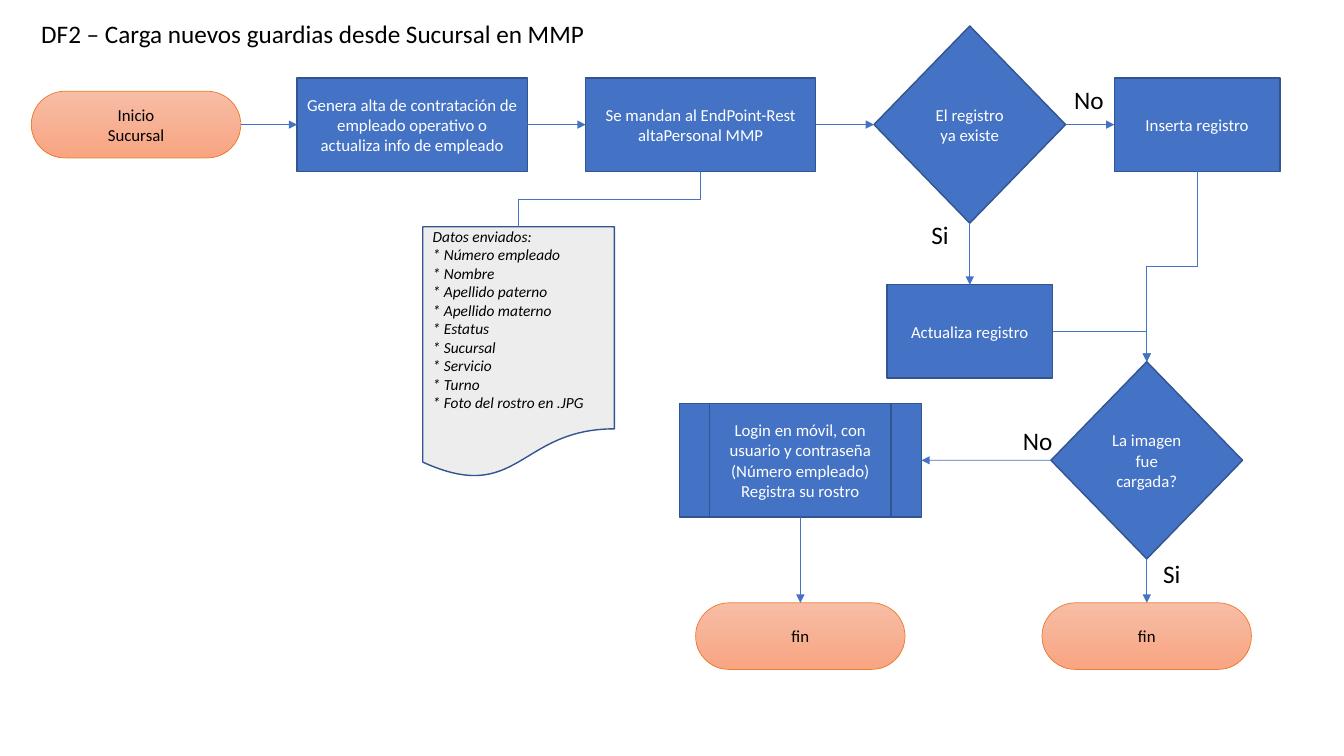
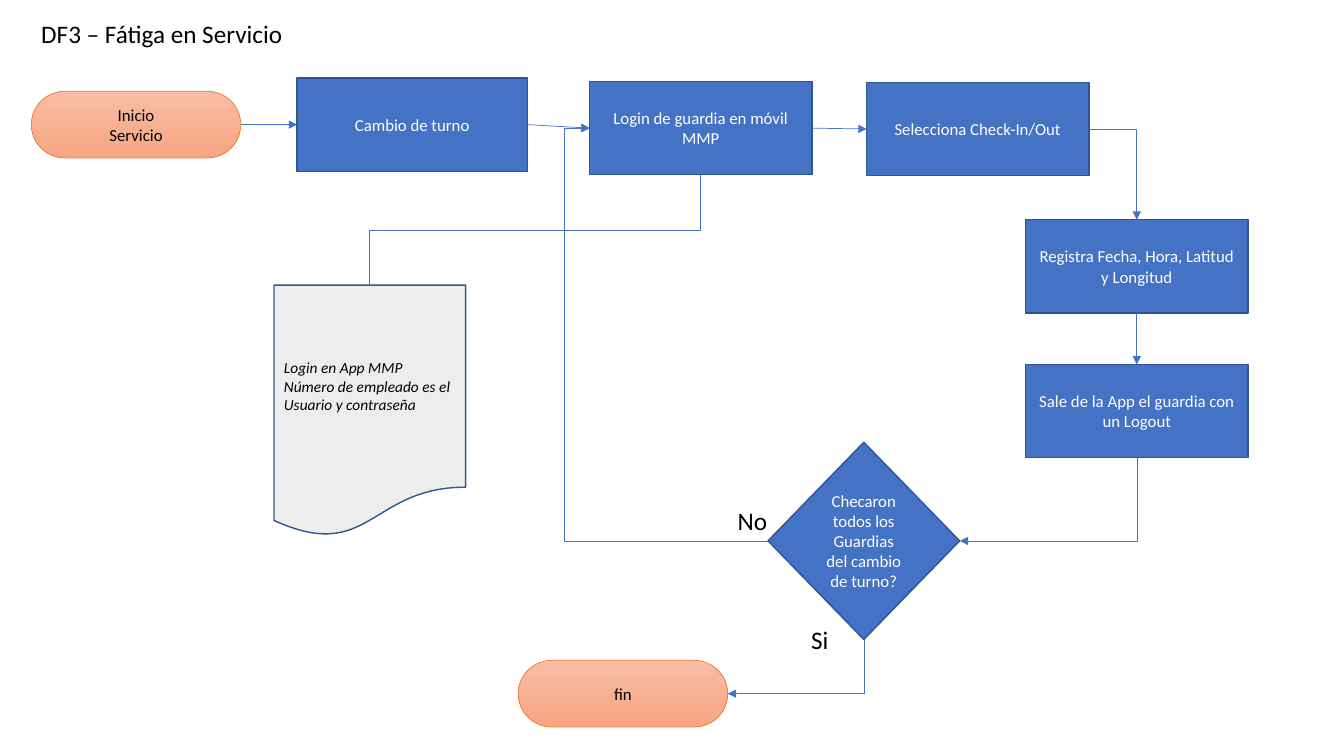
"""Build two flow charts: new guard upload and shift attendance."""
from lxml import etree
from pptx import Presentation
from pptx.dml.color import RGBColor
from pptx.enum.shapes import MSO_CONNECTOR, MSO_SHAPE
from pptx.enum.text import MSO_ANCHOR, PP_ALIGN
from pptx.oxml.ns import qn
from pptx.util import Cm, Pt

BENT, LINE = MSO_CONNECTOR.ELBOW, MSO_CONNECTOR.STRAIGHT
LEFT, MID = PP_ALIGN.LEFT, PP_ALIGN.CENTER
TOP, CENTER = MSO_ANCHOR.TOP, MSO_ANCHOR.MIDDLE
UP, WEST, DOWN, EAST = range(4)
FONT = "Calibri"
COLORS = {
    "blue": "4472C4", "edge": "325491", "gray": "EDEDED", "peach": "F7BDA5",
    "coral": "F8A582", "orange": "ED7D31", "white": "FFFFFF", "black": "000000",
}
RGB = {name: RGBColor.from_string(code) for name, code in COLORS.items()}
ROW = 3.14

KINDS = {
    "end": (MSO_SHAPE.FLOWCHART_TERMINATOR, 5.28, 1.68),
    "wide": (MSO_SHAPE.FLOWCHART_PROCESS, 5.8, 2.35),
    "step": (MSO_SHAPE.FLOWCHART_PROCESS, 5.6, 2.35),
    "small": (MSO_SHAPE.FLOWCHART_PROCESS, 4.17, 2.35),
    "test": (MSO_SHAPE.FLOWCHART_DECISION, 4.83, 4.97),
    "sub": (MSO_SHAPE.FLOWCHART_PREDEFINED_PROCESS, 6.1, 2.85),
    "note": (MSO_SHAPE.FLOWCHART_DOCUMENT, 4.83, 6.35),
}

DATA = """Datos enviados:
* Número empleado
* Nombre
* Apellido paterno
* Apellido materno
* Estatus
* Sucursal
* Servicio
* Turno
* Foto del rostro en .JPG"""

CHARTS = [
    {
        "title": "DF2 – Carga nuevos guardias desde Sucursal en MMP",
        "nodes": {
            "start": ("end", 3.43, ROW, "Inicio\nSucursal"),
            "hire": ("wide", 10.39, ROW, "Genera alta de contratación de empleado operativo o actualiza info de empleado"),
            "send": ("wide", 17.66, ROW, "Se mandan al EndPoint-Rest altaPersonal MMP"),
            "found": ("test", 24.44, ROW, "El registro ya existe"),
            "insert": ("small", 30.17, ROW, "Inserta registro"),
            "update": ("small", 24.44, 8.35, "Actualiza registro"),
            "image": ("test", 28.9, 11.6, "La imagen fue cargada?"),
            "login": ("sub", 20.17, 11.6, "Login en móvil, con usuario y contraseña (Número empleado)\nRegistra su rostro"),
            "done": ("end", 20.17, 16.03, "fin"),
            "stop": ("end", 28.9, 16.03, "fin"),
            "note": ("note", 13.07, 8.89, DATA),
        },
        "links": [
            ("start", EAST, "hire", WEST, 0),
            ("hire", EAST, "send", WEST, 0),
            ("send", EAST, "found", WEST, 0),
            ("found", EAST, "insert", WEST, 0),
            ("found", DOWN, "update", UP, 0),
            ("update", EAST, "image", UP, 50),
            ("insert", DOWN, "image", UP, 50),
            ("image", WEST, "login", EAST, 0),
            ("image", DOWN, "stop", UP, 0),
            ("login", DOWN, "done", UP, 0),
            ("send", DOWN, "note", UP, 50),
        ],
        "labels": [("No", 26.82, 2.01), ("Si", 23.22, 5.41), ("No", 25.53, 10.59), ("Si", 29.06, 13.94)],
    },
    {
        "title": "DF3 – Fátiga en Servicio",
        "nodes": {
            "start": ("end", 3.43, ROW, "Inicio\nServicio"),
            "shift": ("wide", 10.39, ROW, "Cambio de turno"),
            "login": ("step", 17.66, 3.23, "Login de guardia en móvil MMP"),
            "check": ("step", 24.64, 3.25, "Selecciona Check-In/Out"),
            "log": ("step", 28.65, 6.71, "Registra Fecha, Hora, Latitud y Longitud"),
            "leave": ("step", 28.65, 10.36, "Sale de la App el guardia con un Logout"),
            "all": ("test", 21.77, 13.63, "Checaron todos los Guardias del cambio de turno?"),
            "stop": ("end", 15.7, 17.48, "fin"),
            "note": ("note", 9.32, 10.36, "Login en App MMP\nNúmero de empleado es el Usuario y contraseña"),
        },
        "links": [
            ("start", EAST, "shift", WEST, 0),
            ("shift", EAST, "login", WEST, 0),
            ("login", EAST, "check", WEST, 0),
            ("check", EAST, "log", UP, 50),
            ("log", DOWN, "leave", UP, 0),
            ("leave", DOWN, "all", EAST, 50),
            ("all", WEST, "login", WEST, 114.1),
            ("all", DOWN, "stop", EAST, 50),
            ("login", DOWN, "note", UP, 50),
        ],
        "labels": [("No", 18.34, 12.62), ("Si", 20.19, 15.6)],
    },
]


def write(shape, text, size, color, align=LEFT, slant=False):
    frame = shape.text_frame
    frame.word_wrap = True
    frame.text = text
    for para in frame.paragraphs:
        para.alignment = align
        font = para.font
        font.name, font.size, font.italic = FONT, Pt(size), slant
        font.color.rgb = RGB[color]
    return frame


def link(slide, head, out, tail, into, bend, arrow):
    wire = slide.shapes.add_connector(BENT if bend else LINE, 0, 0, 0, 0)
    wire.begin_connect(head, out)
    wire.end_connect(tail, into)
    wire.line.color.rgb = RGB["blue"]
    wire.line.width = Pt(0.5)
    props = wire._element.spPr
    if arrow:
        etree.SubElement(props.find(qn("a:ln")), qn("a:tailEnd"), type="triangle")
    etree.SubElement(props, qn("a:effectLst"))
    if not bend:
        return
    mid_x, mid_y = wire.left + wire.width // 2, wire.top + wire.height // 2
    wide, high = wire.width, wire.height
    if out == DOWN:
        wide, high = high, wide
    wire.left, wire.top = mid_x - wide // 2, mid_y - high // 2
    wire.width, wire.height = wide, high
    frame = props.find(qn("a:xfrm"))
    for flip in ("flipH", "flipV"):
        frame.attrib.pop(flip, None)
    frame.set("rot", str((EAST - out) * 90 * 60000))
    geom = props.find(qn("a:prstGeom"))
    if (out - into) % 2:
        geom.set("prst", "bentConnector2")
    else:
        etree.SubElement(geom.find(qn("a:avLst")), qn("a:gd"),
                         name="adj1", fmla=f"val {round(bend * 1000)}")


deck = Presentation()
deck.slide_width, deck.slide_height = Cm(33.87), Cm(19.05)

for chart in CHARTS:
    slide = deck.slides.add_slide(deck.slide_layouts[6])
    title = slide.shapes.add_textbox(Cm(0.79), Cm(0.33), Cm(15), Cm(1.02))
    write(title, chart["title"], 18, "black")

    nodes = {}
    for name, (kind, x, y, text) in chart["nodes"].items():
        form, wide, high = KINDS[kind]
        node = slide.shapes.add_shape(form, Cm(x - wide / 2), Cm(y - high / 2), Cm(wide), Cm(high))
        node.shadow.inherit = False
        is_end, is_note = kind == "end", kind == "note"
        if is_end:
            node.fill.gradient()
            node.fill.gradient_angle = 270
            for stop, tint in zip(node.fill.gradient_stops, ("peach", "coral")):
                stop.color.rgb = RGB[tint]
        else:
            node.fill.solid()
            node.fill.fore_color.rgb = RGB["gray" if is_note else "blue"]
        node.line.color.rgb = RGB["orange" if is_end else "edge"]
        node.line.width = Pt(0.5 if is_end else 1)
        color = "black" if is_end or is_note else "white"
        frame = write(node, text, 11 if is_note else 12, color, LEFT if is_note else MID, is_note)
        frame.vertical_anchor = CENTER
        if text == DATA:
            frame.vertical_anchor = TOP
            frame.margin_top = 0
        nodes[name] = node

    for head, out, tail, into, bend in chart["links"]:
        link(slide, nodes[head], out, nodes[tail], into, bend, tail != "note")

    for text, x, y in chart["labels"]:
        label = slide.shapes.add_textbox(Cm(x), Cm(y), Cm(1.5), Cm(1.02))
        write(label, text, 18, "black")

deck.save("out.pptx")
